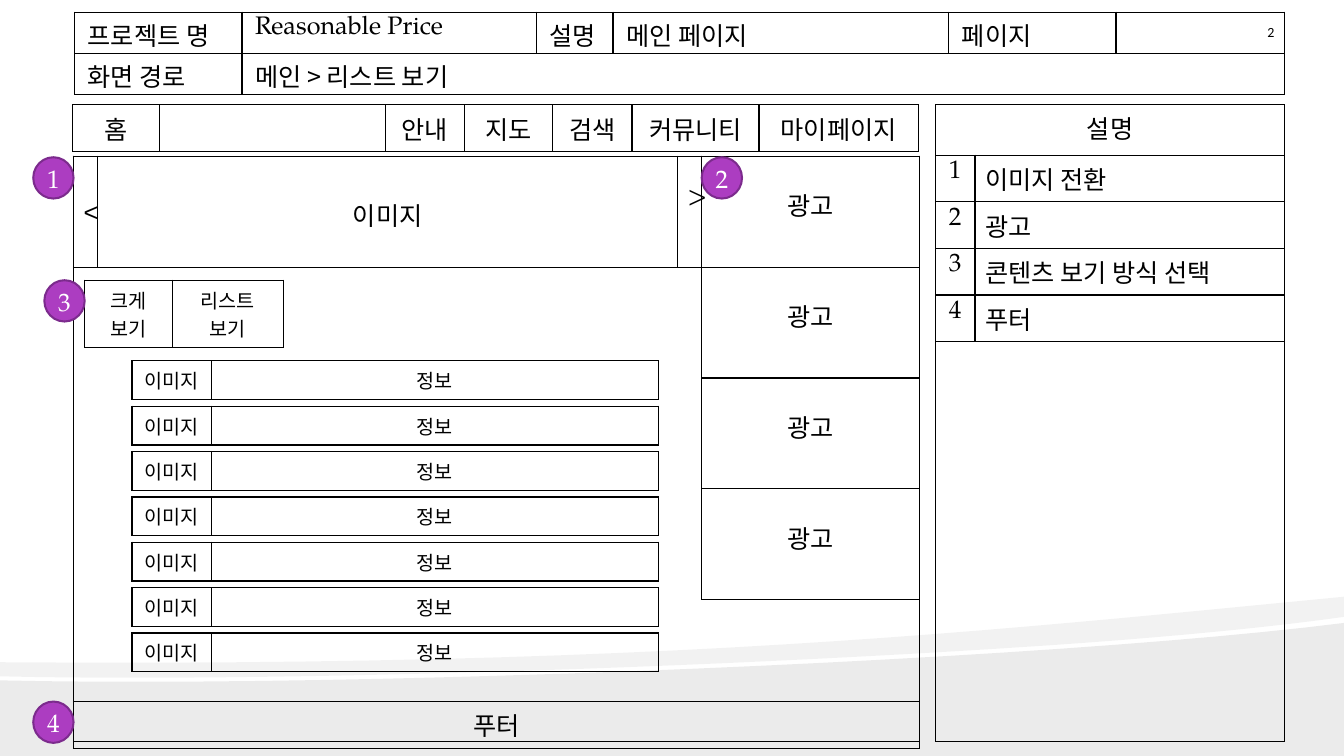
from dataclasses import dataclass

from lxml import etree
from pptx import Presentation
from pptx.dml.color import RGBColor
from pptx.enum.shapes import MSO_SHAPE
from pptx.enum.text import MSO_ANCHOR, PP_ALIGN
from pptx.oxml.ns import qn
from pptx.util import Inches, Pt

BLACK = RGBColor(0x00, 0x00, 0x00)
WHITE = RGBColor(0xFF, 0xFF, 0xFF)
PURPLE = RGBColor(0xAC, 0x3D, 0xC1)
DARK_PURPLE = RGBColor(0x7C, 0x2B, 0x8D)

LEFT, CENTER, RIGHT = PP_ALIGN.LEFT, PP_ALIGN.CENTER, PP_ALIGN.RIGHT
TOP = MSO_ANCHOR.TOP
OVAL = MSO_SHAPE.OVAL

SERIF = "TeX Gyre Pagella"
SANS = "Arial"
KOREAN = "Noto Sans CJK KR"
NUMERIC = "Calibri"


@dataclass
class Cell:
    text: str = ""
    font: str = SERIF
    size: float = 18
    align: int = CENTER
    top: float = 0.05
    side: float = 0.1
    bottom: float = 0.05


def curve(start, control_1, control_2, end, steps=24):
    """Points along a cubic curve, both ends included."""
    points = []
    for step in range(steps + 1):
        t = step / steps
        weights = ((1 - t) ** 3, 3 * t * (1 - t) ** 2, 3 * t * t * (1 - t), t ** 3)
        knots = (start, control_1, control_2, end)
        points.append(tuple(sum(w * knot[axis] for w, knot in zip(weights, knots))
                            for axis in (0, 1)))
    return points


class Wireframe:
    def __init__(self, slide):
        self.slide = slide

    def style_text(self, frame, font, size, color, align):
        for paragraph in frame.paragraphs:
            paragraph.alignment = align
            paragraph.font.name = font
            paragraph.font.size = Pt(size)
            paragraph.font.color.rgb = color
            defaults = paragraph._p.pPr.find(qn("a:defRPr"))
            etree.SubElement(defaults, qn("a:ea"), typeface=KOREAN)

    def border(self, cell):
        properties = cell._tc.get_or_add_tcPr()
        for side in ("lnL", "lnR", "lnT", "lnB"):
            line = etree.SubElement(properties, qn(f"a:{side}"), w=str(Pt(1)))
            fill = etree.SubElement(line, qn("a:solidFill"))
            etree.SubElement(fill, qn("a:srgbClr"), val=str(BLACK))

    def table(self, left, top, widths, row_height, rows):
        table = self.slide.shapes.add_table(
            len(rows), len(widths), Inches(left), Inches(top),
            Inches(sum(widths)), Inches(row_height * len(rows))).table
        table.first_row = table.horz_banding = False
        for column, width in zip(table.columns, widths):
            column.width = Inches(width)
        for row, contents in zip(table.rows, rows):
            row.height = Inches(row_height)
            for cell, content in zip(row.cells, contents):
                self.border(cell)
                cell.fill.background()
                cell.margin_top = Inches(content.top)
                cell.margin_bottom = Inches(content.bottom)
                cell.margin_left = cell.margin_right = Inches(content.side)
                cell.text_frame.text = content.text
                self.style_text(cell.text_frame, content.font, content.size,
                                BLACK, content.align)
        return table

    def marker(self, left, top, number):
        circle = self.slide.shapes.add_shape(
            OVAL, Inches(left), Inches(top), Inches(0.4), Inches(0.41))
        circle.shadow.inherit = False
        circle.fill.solid()
        circle.fill.fore_color.rgb = PURPLE
        circle.line.color.rgb = DARK_PURPLE
        circle.line.width = Pt(1.44)
        frame = circle.text_frame
        frame.margin_left = frame.margin_right = 0
        frame.margin_top = frame.margin_bottom = 0
        frame.vertical_anchor = TOP
        frame.word_wrap = True
        frame.text = str(number)
        self.style_text(frame, SERIF, 18, WHITE, CENTER)

    def wave(self, points, opacity):
        outline = [(Inches(x), Inches(y)) for x, y in points]
        builder = self.slide.shapes.build_freeform(*outline[0])
        builder.add_line_segments(outline[1:], close=True)
        wave = builder.convert_to_shape()
        wave.shadow.inherit = False
        wave.line.fill.background()
        wave.fill.solid()
        wave.fill.fore_color.rgb = BLACK
        color = wave._element.spPr.find(f"{qn('a:solidFill')}/{qn('a:srgbClr')}")
        etree.SubElement(color, qn("a:alpha"), val=str(opacity * 1000))


presentation = Presentation()
presentation.slide_width = Inches(13.33)
presentation.slide_height = Inches(7.5)
BLANK_LAYOUT = presentation.slide_layouts[6]
page = Wireframe(presentation.slides.add_slide(BLANK_LAYOUT))

# Background waves
page.wave([(13.33, 7.5), (0, 7.5)]
          + curve((0, 6.75), (3.52, 6.83), (10.42, 6.55), (13.33, 6.18)), 8)
page.wave(curve((0, 6.57), (6.52, 6.62), (9.71, 6.27), (13.33, 5.92))
          + curve((13.33, 6.12), (12.55, 6.23), (11.49, 6.33), (10.29, 6.41))
          + curve((10.29, 6.41), (6.98, 6.63), (2.58, 6.77), (0, 6.71)), 5)

# Page frame and document header
page.table(0.73, 1.55, [8.39], 5.81, [[Cell()]])


def header(text, font=KOREAN):
    return Cell(text, font, align=LEFT, top=0.04, side=0.13, bottom=0)


document = page.table(
    0.74, 0.12, [1.66, 2.92, 0.76, 3.33, 1.66, 1.67], 0.41,
    [[header("프로젝트 명"), header("Reasonable Price", SERIF), header("설명"),
      header("메인 페이지"), header("페이지"),
      Cell("2", NUMERIC, 10, RIGHT, top=0.12, bottom=0)],
     [header("화면 경로"), header("메인 > 리스트 보기")] + [header("")] * 4])
document.cell(1, 1).merge(document.cell(1, 5))

# Description panel
page.table(9.28, 1.04, [3.46], 6.32, [[Cell("설명", KOREAN, top=0.04)]])
notes = ["이미지 전환", "광고", "콘텐츠 보기 방식 선택", "푸터"]
page.table(9.28, 1.54, [0.39, 3.07], 0.46,
           [[Cell(str(number)), Cell(note, align=LEFT)]
            for number, note in enumerate(notes, 1)])

# Image slider and advertisements
page.table(0.73, 1.55, [0.24, 5.75, 0.24], 1.1,
           [[Cell("<", SANS, top=0.42), Cell("이미지", SANS, top=0.4),
             Cell(">", top=0.3)]])
page.table(6.96, 1.55, [2.16], 1.1, [[Cell("광고", top=0.3)]] * 4)

# View switch and content list
page.table(0.84, 2.78, [0.87, 1.1], 0.66,
           [[Cell("크게\n보기", SANS, 14), Cell("리스트\n보기", size=14)]])
for index in range(7):
    page.table(1.31, 3.58 + 0.45 * index, [0.79, 4.43], 0.38,
               [[Cell("이미지", SANS, 14), Cell("정보", size=14)]])

# Footer and navigation
page.table(0.73, 6.96, [8.39], 0.46, [[Cell("푸터")]])
menu = ["홈", "", "안내", "지도", "검색", "커뮤니티", "마이페이지"]
page.table(0.72, 1.04, [0.86, 2.24, 0.79, 0.87, 0.79, 1.26, 1.58], 0.46,
           [[Cell(item, SANS if column < 3 else SERIF)
             for column, item in enumerate(menu)]])

# Numbered markers
for number, (left, top) in enumerate(
        [(0.33, 1.56), (6.96, 1.56), (0.44, 2.78), (0.33, 6.96)], 1):
    page.marker(left, top, number)

presentation.save("out.pptx")
